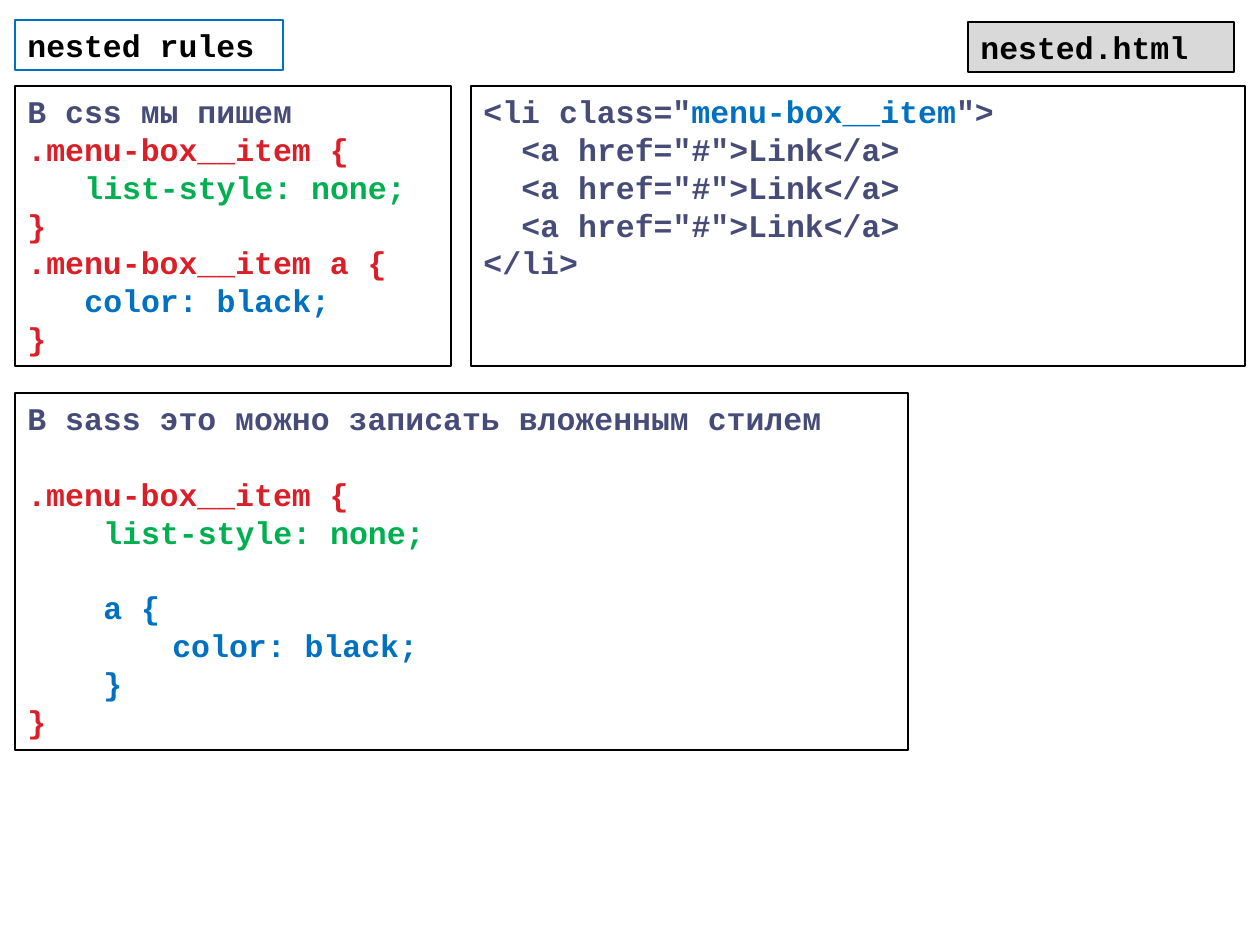
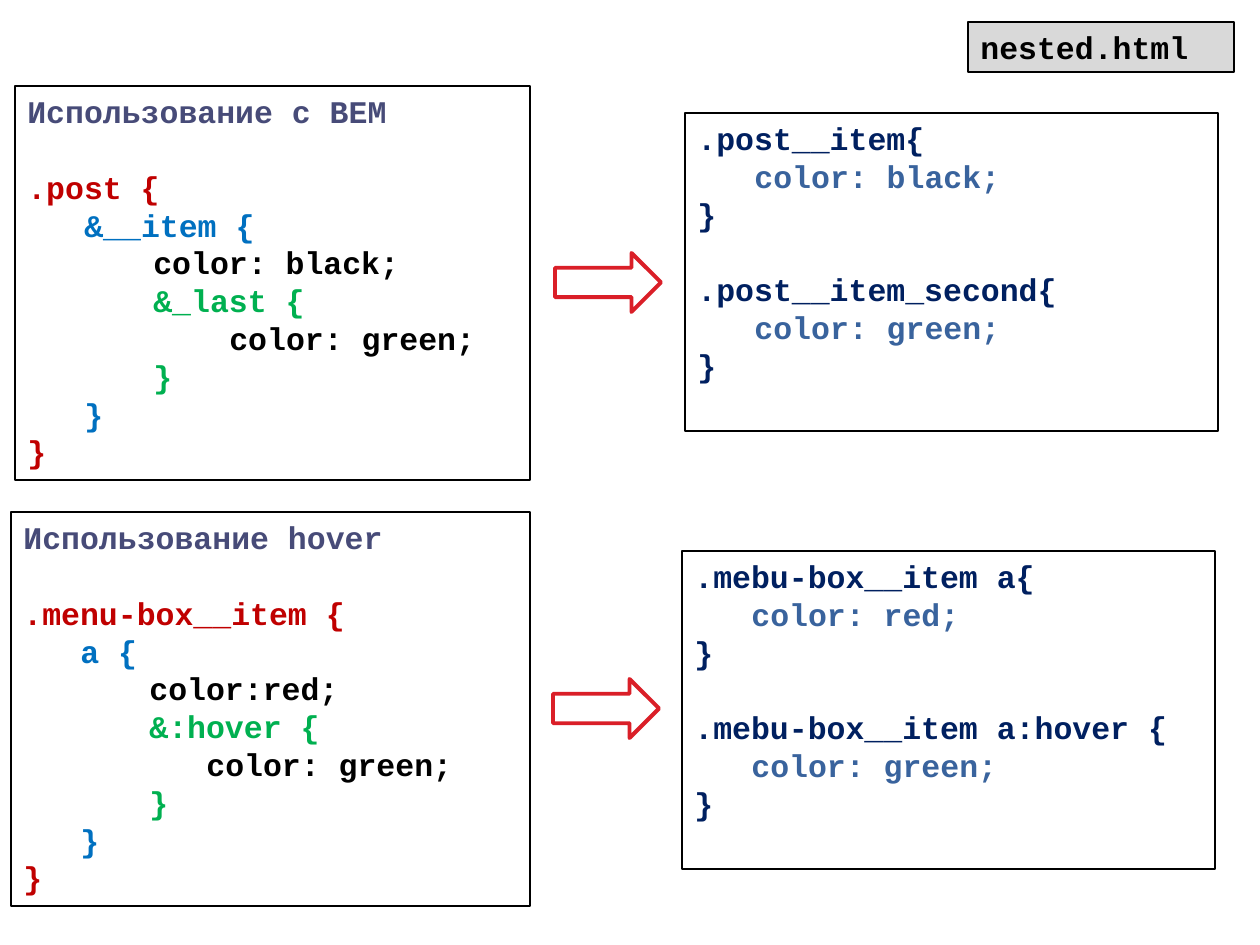
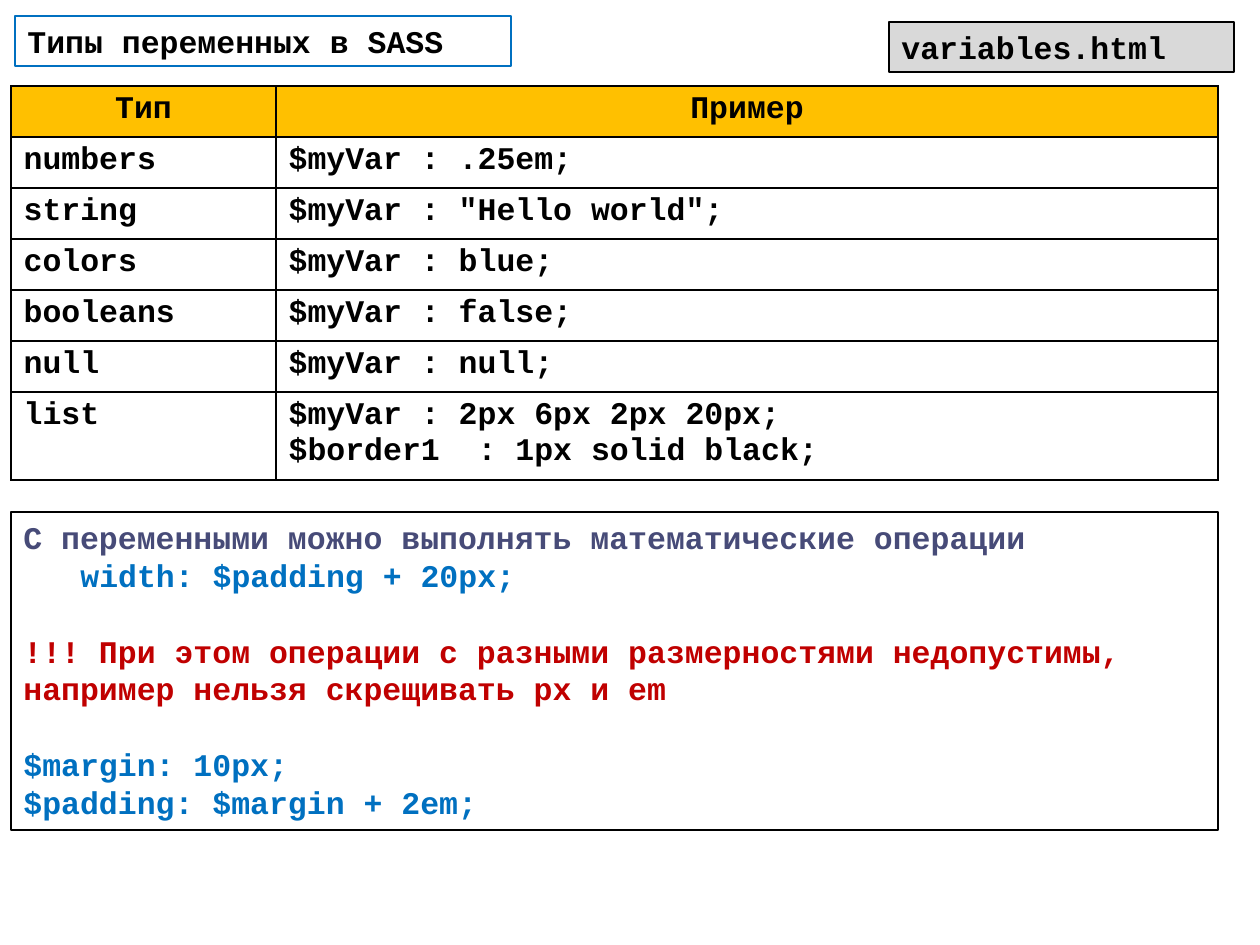
import dataclasses

import lxml.etree
import pptx
import pptx.dml.color
import pptx.enum.shapes
import pptx.enum.text
import pptx.oxml.ns
import pptx.util


@dataclasses.dataclass(frozen=True)
class Theme:
    font: str = "Courier New"
    size: int = 18
    gap: float = 21.6
    border: float = 1.5
    arrow_border: float = 2.25
    cell_border: int = 1
    black: str = "000000"
    heading: str = "474B78"
    blue: str = "0070C0"
    green: str = "00B050"
    bright_red: str = "DA1F28"
    dark_red: str = "C00000"
    navy: str = "002060"
    steel: str = "39639D"
    tag: str = "D9D9D9"
    header: str = "FFC000"


@dataclasses.dataclass(frozen=True)
class Line:
    text: str
    color: str
    indent: int = 0
    gap: bool = False
    tail: tuple = ()


THEME = Theme()
CHAR = 19
TAB = 126


def px(length):
    return pptx.util.Emu(round(length * 914400 / 126))


def rgb(color):
    return pptx.dml.color.RGBColor.from_string(color)


def style_span(span, color):
    span.font.name = THEME.font
    span.font.size = pptx.util.Pt(THEME.size)
    span.font.bold = True
    span.font.color.rgb = rgb(color)


def write_lines(frame, lines):
    frame.text = "\n".join(line.text for line in lines)
    for para, line in zip(frame.paragraphs, lines):
        para.alignment = pptx.enum.text.PP_ALIGN.LEFT
        if line.gap:
            para.space_before = pptx.util.Pt(THEME.gap)
        if line.indent:
            para._p.get_or_add_pPr().set("marL", str(px(line.indent)))
        style_span(para.runs[0], line.color)
        for text, color in line.tail:
            span = para.add_run()
            span.text = text
            style_span(span, color)


def add_outline(page, kind, box, color, width, fill=None):
    shape = page.shapes.add_shape(kind, *map(px, box))
    shape.shadow.inherit = False
    shape.line.color.rgb = rgb(color)
    shape.line.width = pptx.util.Pt(width)
    if fill:
        shape.fill.solid()
        shape.fill.fore_color.rgb = rgb(fill)
    else:
        shape.fill.background()
    return shape


def add_panel(page, box, lines, border=THEME.black, fill=None):
    kind = pptx.enum.shapes.MSO_SHAPE.RECTANGLE
    frame = add_outline(page, kind, box, border, THEME.border, fill).text_frame
    frame.word_wrap = True
    frame.vertical_anchor = pptx.enum.text.MSO_ANCHOR.TOP
    write_lines(frame, lines)


def add_title(page, box, text):
    add_panel(page, box, [Line(text, THEME.black)], border=THEME.blue)


def add_file_tag(page, text, width):
    box = (1234 - width, 22, width, 50)
    add_panel(page, box, [Line(text, THEME.black)], fill=THEME.tag)


def add_compiled_row(page, box, gap, drop, code, result):
    left, top, width, height = box
    result_width, result_height = 533, 318
    arrow_width, arrow_height = 106, 59
    code_width = width - result_width - gap
    add_panel(page, (left, top, code_width, height), code)
    result_box = (left + code_width + gap, top + drop, result_width, result_height)
    add_panel(page, result_box, result)
    arrow_box = (left + code_width + (gap - arrow_width + 1) // 2,
                 top + (height - arrow_height) // 2, arrow_width, arrow_height)
    add_outline(page, pptx.enum.shapes.MSO_SHAPE.RIGHT_ARROW, arrow_box,
                THEME.bright_red, THEME.arrow_border)


def nested_code(heading, block, child, color, state, deep_indent):
    return [
        Line(heading, THEME.heading),
        Line(block, THEME.dark_red, gap=True),
        Line(child, THEME.blue, 3 * CHAR),
        Line(color, THEME.black, TAB),
        Line(state, THEME.green, TAB),
        Line("color: green;", THEME.black, TAB + deep_indent),
        Line("}", THEME.green, TAB),
        Line("}", THEME.blue, 3 * CHAR),
        Line("}", THEME.dark_red),
    ]


def compiled_code(rules):
    lines = []
    for selector, color in rules:
        lines += [
            Line(selector, THEME.navy, gap=bool(lines)),
            Line(color, THEME.steel, 3 * CHAR),
            Line("}", THEME.navy),
        ]
    return lines


def style_cell(cell, is_header):
    if is_header:
        cell.fill.solid()
        cell.fill.fore_color.rgb = rgb(THEME.header)
    else:
        cell.fill.background()
    for para in cell.text_frame.paragraphs:
        if is_header:
            para.alignment = pptx.enum.text.PP_ALIGN.CENTER
        for span in para.runs:
            style_span(span, THEME.black)
    qn = pptx.oxml.ns.qn
    properties = cell._tc.get_or_add_tcPr()
    for position, side in enumerate(("a:lnL", "a:lnR", "a:lnT", "a:lnB")):
        border = lxml.etree.Element(qn(side), w=str(pptx.util.Pt(THEME.cell_border)))
        fill = lxml.etree.SubElement(border, qn("a:solidFill"))
        lxml.etree.SubElement(fill, qn("a:srgbClr"), val=THEME.black)
        properties.insert(position, border)


def add_types_table(page, box, rows):
    left, top, width, height = box
    first_width, row_height = 265, 51
    graphic = page.shapes.add_table(len(rows), 2, *map(px, box))
    table = graphic.table
    table.horz_banding = False
    table.columns[0].width = px(first_width)
    table.columns[1].width = px(width - first_width)
    last = len(rows) - 1
    for index, values in enumerate(rows):
        table.rows[index].height = px(height - row_height * last if index == last else row_height)
        for column, value in enumerate(values):
            cell = table.cell(index, column)
            cell.text_frame.text = value
            style_cell(cell, index == 0)


def build_nested_page(page):
    add_title(page, (15, 20, 268, 50), "nested rules")
    add_file_tag(page, "nested.html", 266)
    add_panel(page, (15, 86, 436, 280), [
        Line("В css мы пишем", THEME.heading),
        Line(".menu-box__item {", THEME.bright_red),
        Line("list-style: none;", THEME.green, 3 * CHAR),
        Line("}", THEME.bright_red),
        Line(".menu-box__item a {", THEME.bright_red),
        Line("color: black;", THEME.blue, 3 * CHAR),
        Line("}", THEME.bright_red),
    ])
    link = Line('<a href="#">Link</a>', THEME.heading, 2 * CHAR)
    add_panel(page, (471, 86, 774, 280), [
        Line('<li class="', THEME.heading,
             tail=(("menu-box__item", THEME.blue), ('">', THEME.heading))),
        *[link] * 3,
        Line("</li>", THEME.heading),
    ])
    add_panel(page, (15, 393, 893, 357), [
        Line("В sass это можно записать вложенным стилем", THEME.heading),
        Line(".menu-box__item {", THEME.bright_red, gap=True),
        Line("list-style: none;", THEME.green, 4 * CHAR),
        Line("a {", THEME.blue, 4 * CHAR, gap=True),
        Line("color: black;", THEME.blue, TAB + CHAR),
        Line("}", THEME.blue, 4 * CHAR),
        Line("}", THEME.bright_red),
    ])


def build_compiled_page(page):
    add_file_tag(page, "nested.html", 266)
    add_compiled_row(
        page, (15, 86, 1203, 394), 155, 27,
        nested_code("Использование с BEM", ".post {", "&__item {",
                    "color: black;", "&_last {", 4 * CHAR),
        compiled_code([(".post__item{", "color: black;"),
                       (".post__item_second{", "color: green;")]))
    add_compiled_row(
        page, (11, 512, 1204, 394), 152, 39,
        nested_code("Использование hover", ".menu-box__item {", "a {",
                    "color:red;", "&:hover {", 3 * CHAR),
        compiled_code([(".mebu-box__item a{", "color: red;"),
                       (".mebu-box__item a:hover {", "color: green;")]))


def build_variables_page(page):
    add_title(page, (15, 16, 496, 50), "Типы переменных в SASS")
    add_file_tag(page, "variables.html", 345)
    add_types_table(page, (11, 86, 1207, 394), [
        ("Тип", "Пример"),
        ("numbers", "$myVar : .25em;"),
        ("string", '$myVar : "Hello world";'),
        ("colors", "$myVar : blue;"),
        ("booleans", "$myVar : false;"),
        ("null", "$myVar : null;"),
        ("list", "$myVar : 2px 6px 2px 20px;\n$border1  : 1px solid black;"),
    ])
    add_panel(page, (11, 512, 1207, 318), [
        Line("С переменными можно выполнять математические операции", THEME.heading),
        Line("width: $padding + 20px;", THEME.blue, 3 * CHAR),
        Line("!!! При этом операции с разными размерностями недопустимы, "
             "например нельзя скрещивать px и em", THEME.dark_red, gap=True),
        Line("$margin: 10px;", THEME.blue, gap=True),
        Line("$padding: $margin + 2em;", THEME.blue),
    ])


def main():
    deck = pptx.Presentation()
    deck.slide_width = px(1260)
    deck.slide_height = px(945)
    blank = deck.slide_layouts[6]
    for build in (build_nested_page, build_compiled_page, build_variables_page):
        build(deck.slides.add_slide(blank))
    deck.save("out.pptx")


if __name__ == "__main__":
    main()
